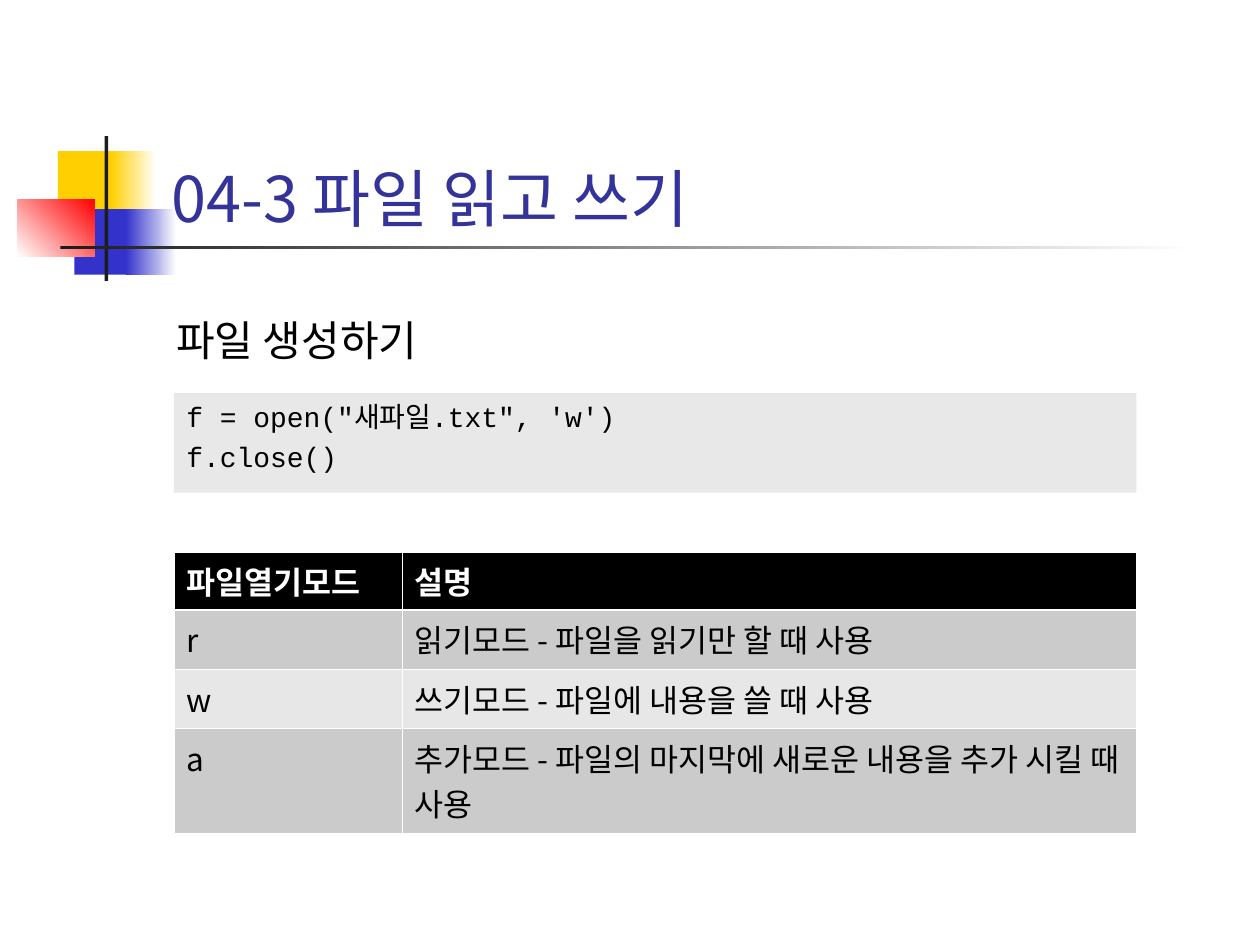
from dataclasses import dataclass

from lxml import etree
from pptx import Presentation
from pptx.dml.color import RGBColor
from pptx.enum.shapes import MSO_SHAPE
from pptx.enum.text import MSO_ANCHOR, MSO_AUTO_SIZE, PP_ALIGN
from pptx.oxml.ns import qn
from pptx.util import Inches, Pt

RECTANGLE = MSO_SHAPE.RECTANGLE
TOP, BOTTOM = MSO_ANCHOR.TOP, MSO_ANCHOR.BOTTOM
LEFT = PP_ALIGN.LEFT
NO_FIT = MSO_AUTO_SIZE.NONE


@dataclass(frozen=True)
class Theme:
    sans: str = "Noto Sans CJK KR"
    code: str = "Courier New"
    title_size: int = 36
    heading_size: int = 24
    table_size: int = 18
    code_size: int = 16
    title: str = "333399"
    black: str = "000000"
    white: str = "FFFFFF"
    ink: str = "1C1C1C"
    yellow: str = "FFCF01"
    blue: str = "3333CC"
    red: str = "FF0000"
    panel: str = "E8E8E8"
    bands: tuple = ("CBCBCB", "E7E7E7")
    thin: float = 0.45
    thick: float = 1.47


THEME = Theme()

# Content column shared by the code panel and the table
CONTENT_LEFT, CONTENT_WIDTH = 1.38, 7.64
CONTENT_RIGHT = CONTENT_LEFT + CONTENT_WIDTH
COLUMN_WIDTHS = (1.81, 5.83)
ROW_HEIGHTS = (0.46, 0.47, 0.47, 0.83)

# Left, top, width, height, colours (two make a gradient), angle
ORNAMENT = (
    (0.46, 1.2, 0.48, 0.52, (THEME.yellow,), 0),
    (0.88, 1.2, 0.36, 0.52, (THEME.yellow, THEME.white), 0),
    (0.59, 1.66, 0.46, 0.52, (THEME.blue,), 0),
    (1, 1.66, 0.4, 0.52, (THEME.blue, THEME.white), 0),
    (0.14, 1.58, 0.61, 0.46, (THEME.white, THEME.red), 45),
    (0.83, 1.08, 0.03, 1.15, (THEME.ink,), 0),
    (0.48, 1.95, 9, 0.03, (THEME.ink, THEME.white), 0),
)

CODE = ("f = open(\"새파일.txt\", 'w')", "f.close()")
MODES = (
    ("파일열기모드", "설명"),
    ("r", "읽기모드 - 파일을 읽기만 할 때 사용"),
    ("w", "쓰기모드 - 파일에 내용을 쓸 때 사용"),
    ("a", "추가모드 - 파일의 마지막에 새로운 내용을 추가 시킬 때 사용"),
)


def paint(fill, color):
    fill.solid()
    fill.fore_color.rgb = RGBColor.from_string(color)


def place(box, left, top, width, height):
    box.left, box.top = Inches(left), Inches(top)
    box.width, box.height = Inches(width), Inches(height)


def write(frame, lines, size, color, font=THEME.sans, bold=False, gap=0):
    """Fill a text frame with one left-aligned paragraph per line."""
    frame.text = "\n".join(lines)
    for index, para in enumerate(frame.paragraphs):
        para.alignment = LEFT
        para.space_before = Pt(gap if index else 0)
        for span in para.runs:
            span.font.name = font
            span.font.size = Pt(size)
            span.font.bold = bold
            span.font.color.rgb = RGBColor.from_string(color)
            # Korean letters always use the sans face
            east_asian = etree.SubElement(span.font._element, qn("a:ea"))
            east_asian.set("typeface", THEME.sans)


def remove_bullets(frame):
    for para in frame.paragraphs:
        properties = para._p.get_or_add_pPr()
        properties.set("marL", "0")
        properties.set("indent", "0")
        etree.SubElement(properties, qn("a:buNone"))


def add_ornament(page):
    for left, top, width, height, colors, angle in ORNAMENT:
        block = page.shapes.add_shape(
            RECTANGLE, Inches(left), Inches(top), Inches(width), Inches(height))
        block.shadow.inherit = False
        block.line.fill.background()
        if len(colors) == 1:
            paint(block.fill, colors[0])
            continue
        block.fill.gradient()
        block.fill.gradient_angle = angle
        for stop, color in zip(block.fill.gradient_stops, colors):
            stop.color.rgb = RGBColor.from_string(color)


def set_frame(box, anchor):
    box.text_frame.auto_size = NO_FIT
    box.text_frame.word_wrap = True
    box.text_frame.vertical_anchor = anchor


def add_title(page):
    title = page.shapes.title
    page.shapes._spTree.append(title._element)  # in front of the ornament
    place(title, 1.26, 0.67, CONTENT_RIGHT - 1.26, 1.25)
    set_frame(title, BOTTOM)
    write(title.text_frame, ["04-3 파일 읽고 쓰기"], THEME.title_size, THEME.title)


def add_code(page):
    panel = page.placeholders[1]
    page.shapes._spTree.append(panel._element)
    place(panel, CONTENT_LEFT, 3.12, CONTENT_WIDTH, 0.79)
    paint(panel.fill, THEME.panel)
    set_frame(panel, TOP)
    write(panel.text_frame, CODE, THEME.code_size, THEME.black, THEME.code, gap=4)
    remove_bullets(panel.text_frame)


def add_heading(page):
    heading = page.shapes.add_textbox(
        Inches(1.3), Inches(2.45), Inches(CONTENT_RIGHT - 1.3), Inches(0.51))
    set_frame(heading, TOP)
    write(heading.text_frame, ["파일 생성하기"], THEME.heading_size, THEME.black)


def set_borders(cell, top, bottom):
    properties = cell._tc.get_or_add_tcPr()
    widths = {"a:lnL": THEME.thin, "a:lnR": THEME.thin,
              "a:lnT": top, "a:lnB": bottom}
    for index, (tag, width) in enumerate(widths.items()):
        line = etree.Element(qn(tag), w=str(Pt(width)))
        fill = etree.SubElement(line, qn("a:solidFill"))
        etree.SubElement(fill, qn("a:srgbClr"), val=THEME.white)
        properties.insert(index, line)


def add_modes_table(page):
    table = page.shapes.add_table(
        len(MODES), len(COLUMN_WIDTHS), Inches(CONTENT_LEFT), Inches(4.38),
        Inches(CONTENT_WIDTH), Inches(sum(ROW_HEIGHTS))).table
    for column, width in zip(table.columns, COLUMN_WIDTHS):
        column.width = Inches(width)
    for index, (row, height) in enumerate(zip(table.rows, ROW_HEIGHTS)):
        row.height = Inches(height)
        header = index == 0
        for cell, text in zip(row.cells, MODES[index]):
            paint(cell.fill, THEME.black if header else THEME.bands[(index - 1) % 2])
            set_borders(cell, THEME.thick if index == 1 else THEME.thin,
                        THEME.thick if header else THEME.thin)
            write(cell.text_frame, [text], THEME.table_size,
                  THEME.white if header else THEME.black, bold=header)


def main():
    deck = Presentation()
    deck.slide_width, deck.slide_height = Inches(10), Inches(7.5)
    page = deck.slides.add_slide(deck.slide_layouts[1])
    paint(page.background.fill, THEME.white)
    add_ornament(page)
    add_title(page)
    add_code(page)
    add_heading(page)
    add_modes_table(page)
    deck.save("out.pptx")


if __name__ == "__main__":
    main()
